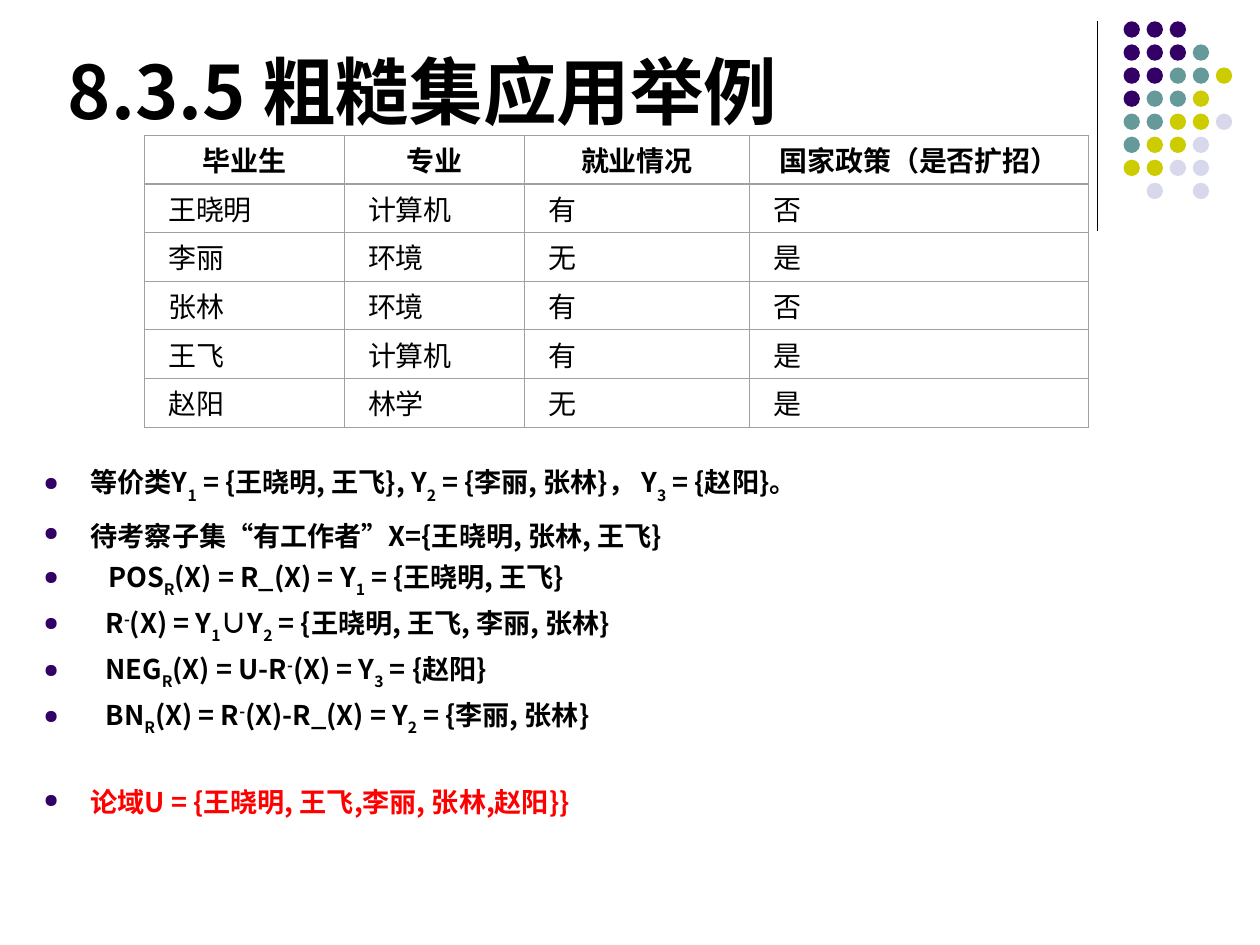
from lxml.etree import SubElement
from pptx import Presentation
from pptx.dml.color import RGBColor
from pptx.enum.shapes import MSO_CONNECTOR as CONN, MSO_SHAPE as SHAPE
from pptx.enum.text import MSO_ANCHOR as ANCHOR, PP_ALIGN as ALIGN
from pptx.oxml import parse_xml
from pptx.oxml.ns import nsdecls, qn
from pptx.util import Cm, Pt

FONT = "Noto Sans CJK SC"
BLACK = RGBColor(0x00, 0x00, 0x00)
RED = RGBColor(0xFF, 0x00, 0x00)
GRAY = RGBColor(0xA0, 0xA0, 0xA0)
PURPLE = RGBColor(0x33, 0x00, 0x66)
TEAL = RGBColor(0x66, 0x99, 0x99)
OLIVE = RGBColor(0xCC, 0xCC, 0x00)
LAVENDER = RGBColor(0xD8, 0xD8, 0xEC)

# Dot pattern, one letter per dot
DOT_COLORS = {"P": PURPLE, "T": TEAL, "O": OLIVE, "L": LAVENDER}
DOT_ROWS = ["PPP", "PPPT", "PPTTO", "PTTO", "TTOOL", "TOOL", "OOLL", " L L"]

COL_WIDTHS = [4.03, 3.63, 4.54, 6.84]
GRADUATES = [
    ["毕业生", "专业", "就业情况", "国家政策（是否扩招）"],
    ["王晓明", "计算机", "有", "否"],
    ["李丽", "环境", "无", "是"],
    ["张林", "环境", "有", "否"],
    ["王飞", "计算机", "有", "是"],
    ["赵阳", "林学", "无", "是"],
]

# Text (scripts between bars), hanging indent in cm, space before in points, colour
BULLETS = [
    ("等价类Y|1| = {王晓明, 王飞}, Y|2| = {李丽, 张林}， Y|3| = {赵阳}。", 0.95, 0, BLACK),
    ("待考察子集“有工作者”X={王晓明, 张林, 王飞}", 0.95, 8.5, BLACK),
    ("POS|R|(X) = R_(X) = Y|1| = {王晓明, 王飞}", 1.3, 5, BLACK),
    ("R|-|(X) = Y|1|∪Y|2| = {王晓明, 王飞, 李丽, 张林}", 1.25, 4.4, BLACK),
    ("NEG|R|(X) = U-R|-|(X) = Y|3| = {赵阳}", 1.25, 4.4, BLACK),
    ("BN|R|(X) = R|-|(X)-R_(X) = Y|2| = {李丽, 张林}", 1.25, 4.4, BLACK),
    ("论域U = {王晓明, 王飞,李丽, 张林,赵阳}}", 0.95, 27.8, RED),
]


def write(p, text, size=16, color=BLACK, bold=False, align=ALIGN.LEFT, before=0):
    """Fill a paragraph; pieces between bars are raised (-) or lowered."""
    p.alignment = align
    p.space_before = Pt(before)
    for i, piece in enumerate(text.split("|")):
        r = p.add_run()
        r.text = piece
        r.font.size = Pt(size)
        r.font.bold = bold
        r.font.color.rgb = color
        r.font.name = FONT
        rPr = r._r.get_or_add_rPr()
        SubElement(rPr, qn("a:ea"), typeface=FONT)
        if i % 2:
            rPr.set("baseline", "30000" if piece == "-" else "-30000")


def add_box(s, x, y, w, h, anchor=ANCHOR.TOP):
    tf = s.shapes.add_textbox(Cm(x), Cm(y), Cm(w), Cm(h)).text_frame
    tf.word_wrap = True
    tf.vertical_anchor = anchor
    tf.margin_top = Cm(0.07)
    tf.margin_bottom = Cm(0)
    return tf


def set_bullet(p, indent):
    pPr = p._p.get_or_add_pPr()
    pPr.set("marL", str(Cm(indent)))
    pPr.set("indent", str(-Cm(indent)))
    SubElement(SubElement(pPr, qn("a:buClr")), qn("a:srgbClr"), val=str(PURPLE))
    SubElement(pPr, qn("a:buSzPct"), val="70000")
    SubElement(pPr, qn("a:buChar"), char="●")


def add_bullets(s):
    tf = add_box(s, 0.63, 9.32, 24.4, 8.61)
    for i, (text, indent, before, color) in enumerate(BULLETS):
        p = tf.add_paragraph() if i else tf.paragraphs[0]
        set_bullet(p, indent)
        write(p, text, size=15.5, color=color, bold=True, before=before)


def set_borders(cell):
    tcPr = cell._tc.get_or_add_tcPr()
    for i, side in enumerate(["lnL", "lnR", "lnT", "lnB"]):
        tcPr.insert(i, parse_xml(
            f'<a:{side} {nsdecls("a")} w="{Pt(0.75)}"><a:solidFill>'
            f'<a:srgbClr val="{GRAY}"/></a:solidFill></a:{side}>'))


def add_graduates(s):
    n = len(GRADUATES)
    table = s.shapes.add_table(n, len(COL_WIDTHS), Cm(2.91), Cm(2.73),
                               Cm(sum(COL_WIDTHS)), Cm(0.98 * n)).table
    table.first_row = table.horz_banding = False
    for col, width in zip(table.columns, COL_WIDTHS):
        col.width = Cm(width)
    for i, values in enumerate(GRADUATES):
        table.rows[i].height = Cm(0.98)
        for j, value in enumerate(values):
            cell = table.cell(i, j)
            cell.margin_left = cell.margin_right = Cm(0.48)
            cell.margin_top, cell.margin_bottom = Cm(0.08), Cm(0)
            cell.fill.background()
            set_borders(cell)
            write(cell.text_frame.paragraphs[0], value, bold=i == 0,
                  align=ALIGN.JUSTIFY if i else ALIGN.CENTER)


def add_decoration(s):
    # Vertical rule
    line = s.shapes.add_connector(CONN.STRAIGHT, Cm(22.12), Cm(0.43), Cm(22.12), Cm(4.65))
    line.line.color.rgb = BLACK
    line.line.width = Pt(0.75)
    SubElement(line._element.spPr, qn("a:effectLst"))

    # Dot grid
    dots = s.shapes.add_group_shape().shapes
    step, size = 0.465, 0.33
    for i, row in enumerate(DOT_ROWS):
        for j, key in enumerate(row):
            if key in DOT_COLORS:
                sp = dots.add_shape(SHAPE.OVAL, Cm(22.65 + j * step), Cm(0.43 + i * step),
                                    Cm(size), Cm(size))
                sp.shadow.inherit = False
                sp.fill.solid()
                sp.fill.fore_color.rgb = DOT_COLORS[key]
                sp.line.fill.background()


def main():
    prs = Presentation()
    prs.slide_width, prs.slide_height = Cm(25.4), Cm(19.05)
    s = prs.slides.add_slide(prs.slide_layouts[6])
    add_decoration(s)
    title = add_box(s, 1.12, -0.08, 20.96, 2.79, anchor=ANCHOR.BOTTOM)
    write(title.paragraphs[0], "8.3.5 粗糙集应用举例", size=42, bold=True)
    add_bullets(s)
    add_graduates(s)
    prs.save("out.pptx")


if __name__ == "__main__":
    main()
